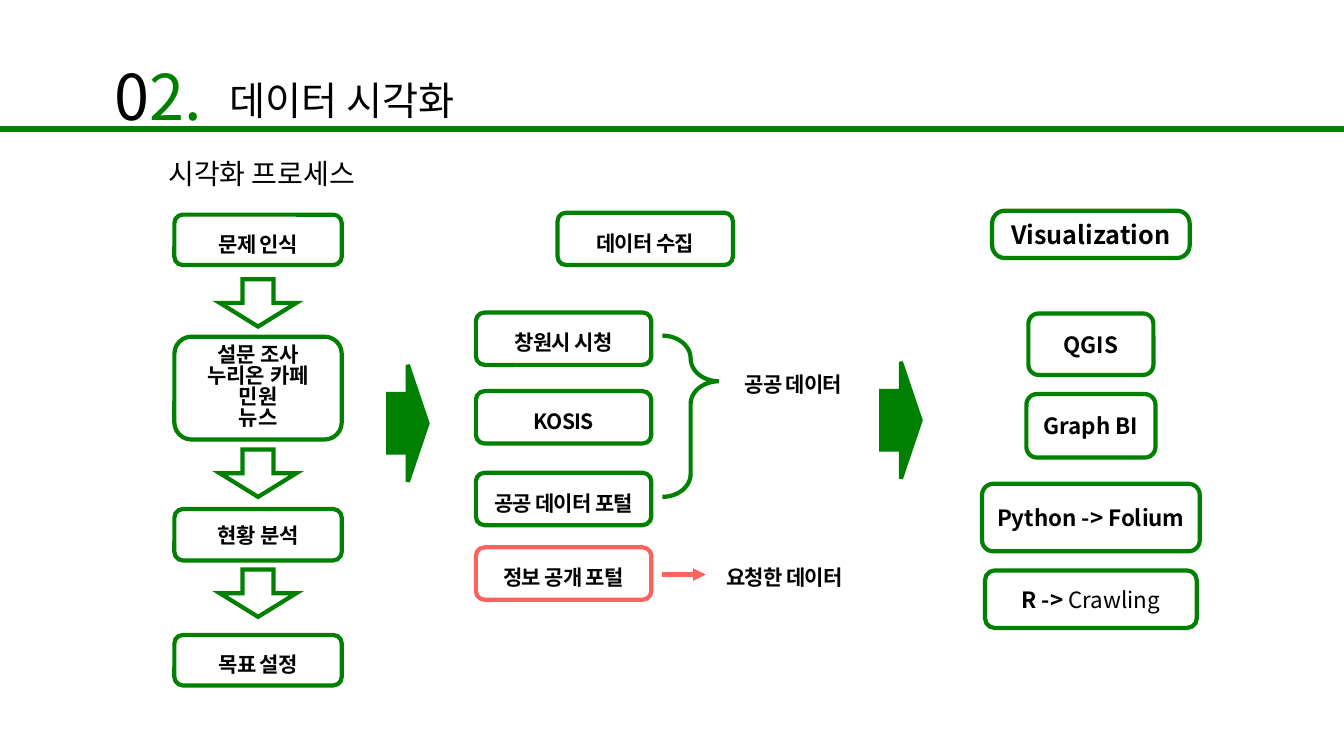
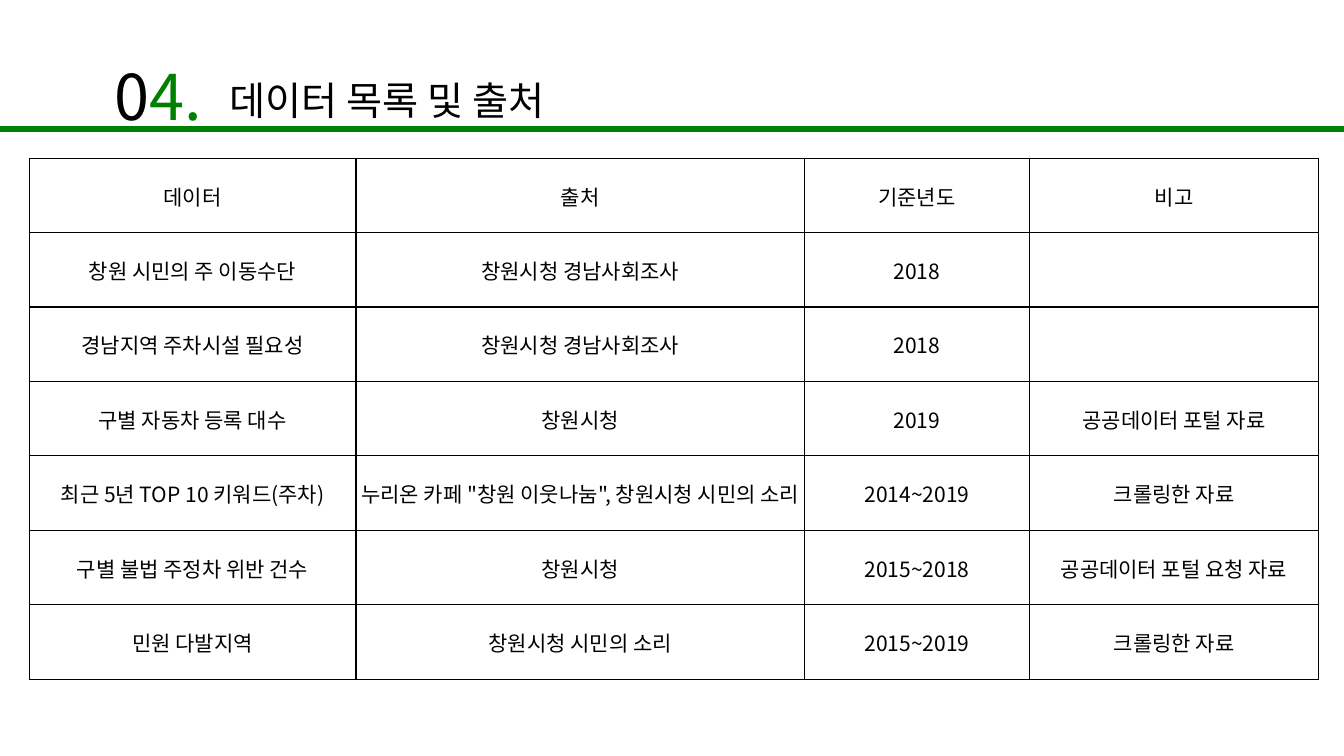
from dataclasses import dataclass

import lxml.etree
import pptx
import pptx.dml.color
import pptx.enum.shapes
import pptx.enum.text
import pptx.oxml.ns
import pptx.util

Inches = pptx.util.Inches
Pt = pptx.util.Pt
qn = pptx.oxml.ns.qn
SHAPE = pptx.enum.shapes.MSO_SHAPE
ALIGN = pptx.enum.text.PP_ALIGN
ANCHOR = pptx.enum.text.MSO_ANCHOR


@dataclass(frozen=True)
class Theme:
    font: str = "Noto Sans CJK KR"
    text: str = "000000"
    green: str = "008000"
    red: str = "FD625E"
    paper: str = "FFFFFF"
    number_size: int = 45
    title_size: int = 28
    subtitle_size: int = 20
    heading_size: int = 18
    tool_size: int = 16
    body_size: int = 15
    outline: int = 3
    rule: int = 4


THEME = Theme()
LABEL_FORMAT = dict(bold=True, spacing=1.5, tracking=-50, margins=(0, 0, 0, 0.05))


@dataclass(frozen=True)
class Box:
    left: float
    top: float
    width: float
    height: float

    def inner(self, left, top, width, height):
        """Return a box whose place is measured from this one's corner."""
        return Box(self.left + left, self.top + top, width, height)

    def centered(self, top, width, height):
        return self.inner((self.width - width) / 2, top, width, height)

    def lengths(self):
        return [Inches(n) for n in (self.left, self.top, self.width, self.height)]


def rgb(color):
    return pptx.dml.color.RGBColor.from_string(color)


def add_xml(parent, tag, **attributes):
    return lxml.etree.SubElement(parent, qn(tag), attributes)


def write_text(frame, *lines, size=THEME.body_size, color=THEME.text, bold=False,
               align=ALIGN.CENTER, spacing=None, tracking=None, margins=None):
    """Write paragraphs; each is a string or a list of (text, overrides) spans."""
    frame.word_wrap = True
    frame.vertical_anchor = ANCHOR.MIDDLE
    if margins:
        (frame.margin_left, frame.margin_top,
         frame.margin_right, frame.margin_bottom) = map(Inches, margins)
    for index, line in enumerate(lines):
        para = frame.add_paragraph() if index else frame.paragraphs[0]
        para.alignment = align
        if spacing:
            para.line_spacing = spacing
        for text, changes in [(line, {})] if isinstance(line, str) else line:
            span = para.add_run()
            span.text = text
            span.font.size = Pt(size)
            span.font.bold = changes.get("bold", bold)
            span.font.color.rgb = rgb(changes.get("color", color))
            span.font.name = THEME.font
            properties = span.font._element
            add_xml(properties, "a:ea", typeface=THEME.font)
            if tracking:
                properties.set("spc", str(tracking))


def add_text(page, box, *lines, **text_format):
    write_text(page.shapes.add_textbox(*box.lengths()).text_frame, *lines, **text_format)


def add_figure(page, kind, box, fill=THEME.paper, line=THEME.green, adjust=()):
    figure = page.shapes.add_shape(kind, *box.lengths())
    figure.shadow.inherit = False
    if fill:
        figure.fill.solid()
        figure.fill.fore_color.rgb = rgb(fill)
    else:
        figure.fill.background()
    figure.line.color.rgb = rgb(line)
    figure.line.width = Pt(THEME.outline)
    add_xml(figure.element.spPr.find(qn("a:ln")), "a:miter", lim="800000")
    for index, value in enumerate(adjust):
        figure.adjustments[index] = value
    return figure


def add_card(page, box, *lines, line=THEME.green, adjust=(), **text_format):
    card = add_figure(page, SHAPE.ROUNDED_RECTANGLE, box, line=line, adjust=adjust)
    write_text(card.text_frame, *lines, **text_format)


def add_line(page, start, end, color, width, arrow=False):
    line = page.shapes.add_connector(
        pptx.enum.shapes.MSO_CONNECTOR.STRAIGHT, *map(Inches, start + end))
    line.line.color.rgb = rgb(color)
    line.line.width = Pt(width)
    properties = line._element.spPr
    if arrow:
        add_xml(properties.find(qn("a:ln")), "a:tailEnd", type="triangle")
    add_xml(properties, "a:effectLst")


def add_page(deck, digit, title):
    """Add a slide with its section number, title and green rule."""
    page = deck.slides.add_slide(deck.slide_layouts.get_by_name("Title Only"))
    heading = page.shapes.title
    heading.left, heading.top, heading.width, heading.height = Box(
        2.18, 0.71, 8, 0.57).lengths()
    heading.text_frame.auto_size = pptx.enum.text.MSO_AUTO_SIZE.NONE
    write_text(heading.text_frame, title, size=THEME.title_size, align=ALIGN.LEFT)
    add_text(page, Box(0.94, 0.52, 1.25, 0.86),
             [("0", {}), (digit + ".", {"color": THEME.green})], size=THEME.number_size)
    add_line(page, (0, 1.28), (13.33, 1.28), THEME.green, THEME.rule)
    return page


def add_planning_steps(page, box):
    plain = dict(bold=True)
    steps = [
        (0, 0.5, ["문제 인식"], LABEL_FORMAT),
        (1.21, 1.02, ["설문 조사", "누리온 카페", "민원", "뉴스"], dict(bold=True, spacing=0.83)),
        (2.92, 0.51, ["현황 분석"], plain),
        (4.17, 0.5, ["목표 설정"], LABEL_FORMAT),
    ]
    for top, height, lines, text_format in steps:
        add_card(page, box.centered(top, box.width, height), *lines, **text_format)
    for top in (0.64, 2.33, 3.52):
        add_figure(page, SHAPE.DOWN_ARROW, box.centered(top, 0.76, 0.47), adjust=(0.405, 0.5))


def add_collection(page, box):
    """Draw the data sources and what each of them yields."""
    width, height = 1.74, 0.52
    add_card(page, box.inner(0.81, 0, width, height), "데이터 수집", **LABEL_FORMAT)
    sources = [
        (0.99, "창원시 시청", THEME.green),
        (1.77, "KOSIS", THEME.green),
        (2.58, "공공 데이터 포털", THEME.green),
        (3.32, "정보 공개 포털", THEME.red),
    ]
    for top, name, color in sources:
        add_card(page, box.inner(0, top, width, height), name, line=color, **LABEL_FORMAT)
    add_figure(page, SHAPE.RIGHT_BRACE, box.inner(1.85, 1.22, 0.56, 1.6), fill=None,
               adjust=(0.535, 0.283))
    arrow = box.inner(1.85, 3.59, 0.43, 0)
    add_line(page, (arrow.left, arrow.top), (arrow.left + arrow.width, arrow.top),
             THEME.red, THEME.outline, arrow=True)
    for left, top, name in ((2.28, 1.4, "공공 데이터"), (2.19, 3.32, "요청한 데이터")):
        add_text(page, box.inner(left, top, width, height), name, **LABEL_FORMAT)


def add_tools(page, box):
    add_card(page, box.centered(0, 1.96, 0.47), "Visualization", adjust=(0.27,),
             size=THEME.heading_size, bold=True)
    tools = [
        (1.02, 1.24, 0.61, "QGIS"),
        (1.82, 1.28, 0.63, "Graph BI"),
        (2.71, 2.16, 0.67, "Python -> Folium"),
        (3.57, 2.1, 0.57, [("R -> ", {}), ("Crawling", {"bold": False})]),
    ]
    for top, width, height, name in tools:
        add_card(page, box.centered(top, width, height), name,
                 size=THEME.tool_size, bold=True)


def add_process_page(deck):
    page = add_page(deck, "2", "데이터 시각화")
    add_text(page, Box(1.57, 1.33, 2.28, 0.61), "시각화 프로세스",
             size=THEME.subtitle_size, align=ALIGN.LEFT, spacing=1.5)
    add_planning_steps(page, Box(1.73, 2.13, 1.66, 4.67))
    add_collection(page, Box(4.72, 2.11, 4.02, 3.84))
    add_tools(page, Box(9.74, 2.09, 2.16, 4.14))
    for left, top in ((3.85, 3.62), (8.74, 3.59)):
        add_figure(page, SHAPE.RIGHT_ARROW, Box(left, top, 0.39, 1.16), fill=THEME.green)


def format_cell(cell, text):
    cell.fill.background()
    cell.vertical_anchor = ANCHOR.MIDDLE
    cell.margin_left = cell.margin_top = cell.margin_right = Inches(0.01)
    cell.margin_bottom = 0
    if text:
        write_text(cell.text_frame, text)
    properties = cell._tc.get_or_add_tcPr()
    for index, side in enumerate(("a:lnL", "a:lnR", "a:lnT", "a:lnB")):
        border = add_xml(properties, side, w=str(Pt(1)))
        add_xml(add_xml(border, "a:solidFill"), "a:srgbClr", val=THEME.text)
        properties.insert(index, border)


def add_grid(page, box, widths, rows):
    table = page.shapes.add_table(len(rows), len(widths), *box.lengths()).table
    table.first_row = table.horz_banding = False
    for column, width in zip(table.columns, widths):
        column.width = Inches(width)
    for row, texts in zip(table.rows, rows):
        row.height = Inches(box.height / len(rows))
        for cell, text in zip(row.cells, texts):
            format_cell(cell, text)


def add_sources_page(deck):
    page = add_page(deck, "4", "데이터 목록 및 출처")
    rows = [
        ("데이터", "출처", "기준년도", "비고"),
        ("창원 시민의 주 이동수단", "창원시청 경남사회조사", "2018", ""),
        ("경남지역 주차시설 필요성", "창원시청 경남사회조사", "2018", ""),
        ("구별 자동차 등록 대수", "창원시청", "2019", "공공데이터 포털 자료"),
        ("최근 5년 TOP 10 키워드(주차)", "누리온 카페 \"창원 이웃나눔\", 창원시청 시민의 소리",
         "2014~2019", "크롤링한 자료"),
        ("구별 불법 주정차 위반 건수", "창원시청", "2015~2018", "공공데이터 포털 요청 자료"),
        ("민원 다발지역", "창원시청 시민의 소리", "2015~2019", "크롤링한 자료"),
    ]
    add_grid(page, Box(0.29, 1.57, 12.8, 5.17), (3.24, 4.45, 2.23, 2.87), rows)


def main():
    deck = pptx.Presentation()
    deck.slide_width = Inches(13.33)
    deck.slide_height = Inches(7.5)
    add_process_page(deck)
    add_sources_page(deck)
    deck.save("out.pptx")


if __name__ == "__main__":
    main()
